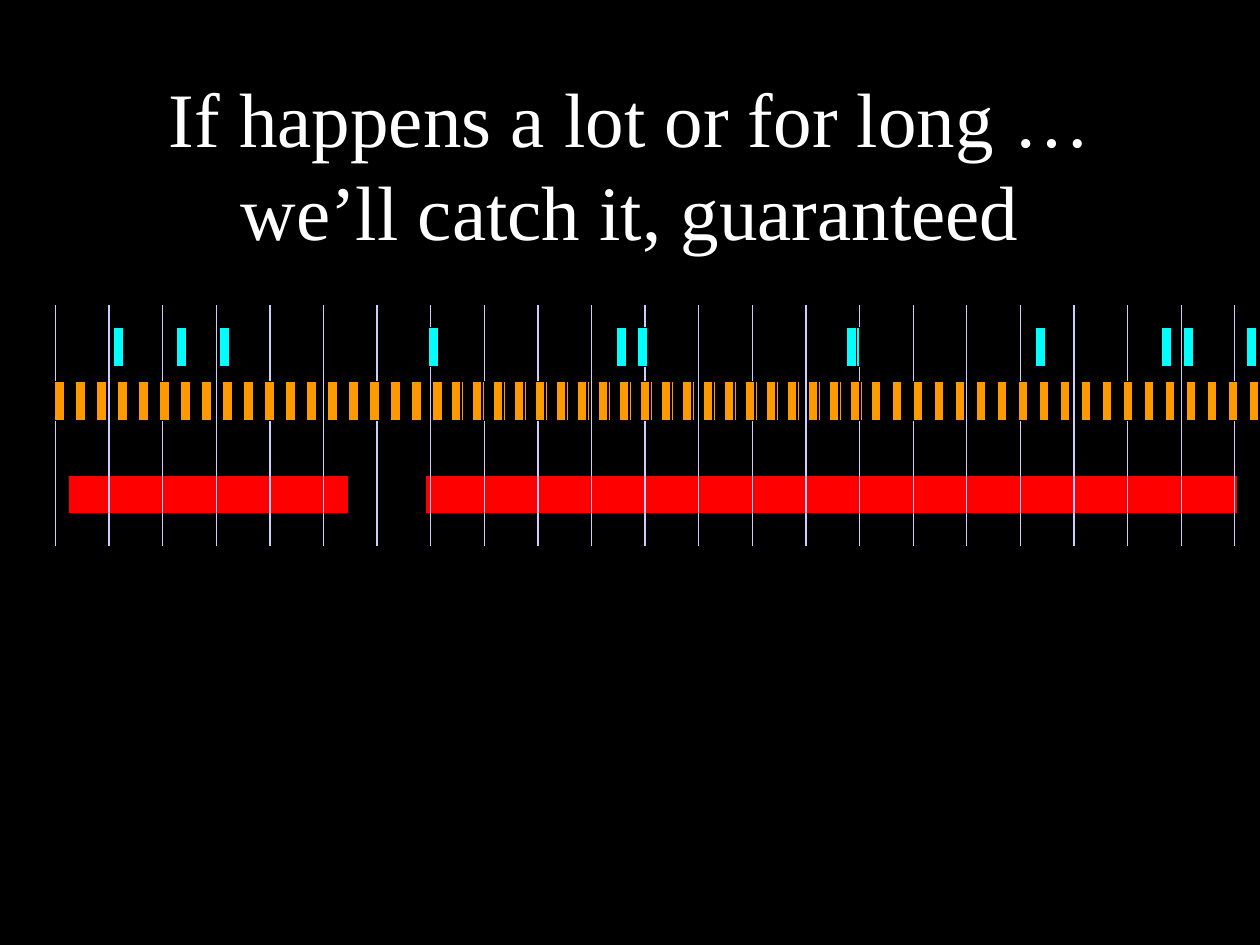
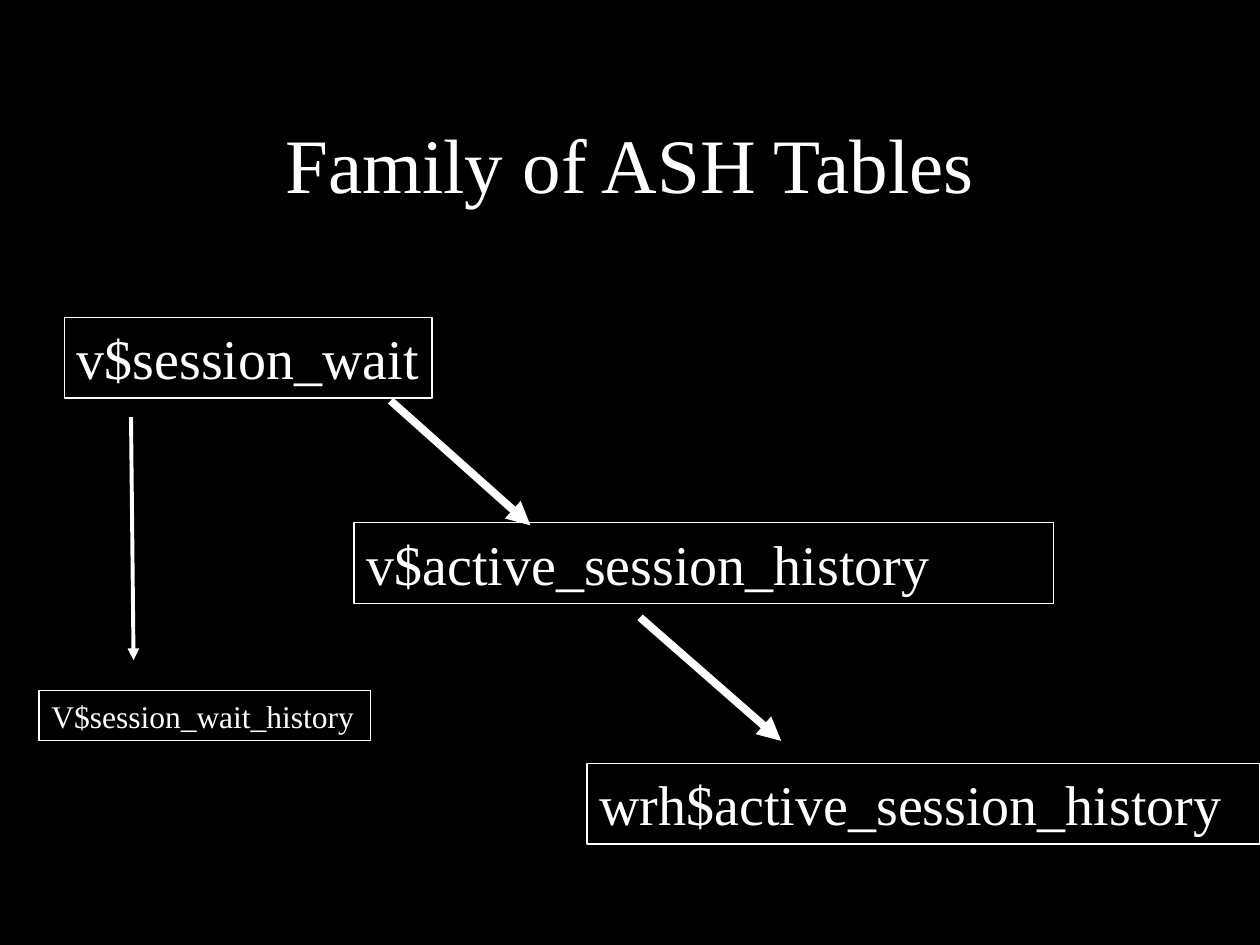
from dataclasses import dataclass

from lxml.etree import SubElement
from pptx import Presentation
from pptx.dml.color import RGBColor
from pptx.enum.shapes import MSO_CONNECTOR as Connector, MSO_SHAPE as Shape
from pptx.enum.text import MSO_ANCHOR as Anchor, MSO_AUTO_SIZE as AutoSize, PP_ALIGN as Align
from pptx.oxml.ns import qn
from pptx.util import Inches, Pt


@dataclass(frozen=True)
class Theme:
    font: str = "Times New Roman"
    background: str = "000000"
    text: str = "FFFFFF"
    grid: str = "CCCCFF"
    long_wait: str = "FF0000"
    frequent: str = "FF9900"
    occasional: str = "00FFFF"
    title_size: int = 44
    table_size: int = 32
    history_size: int = 18
    thin: float = 0.75


THEME = Theme()

# Content: sampling timeline, lengths in inches
SAMPLING_TITLE = "If happens a lot or for long … we’ll catch it, guaranteed"
GRID_FIRST, GRID_LAST, GRID_COUNT = 0.44, 9.8, 23
GRID_TOP, GRID_BOTTOM = 2.42, 4.33
EVENT_WIDTH, EVENT_HEIGHT = 0.08, 0.31
LONG_WAITS = [(0.54, 2.23), (3.38, 6.44)]  # left, width
LONG_TOP, FREQUENT_TOP, OCCASIONAL_TOP = 3.77, 3.03, 2.6
FREQUENT_STARTS, FREQUENT_COUNT, EVENTS_PER_INCH = (0.43, 3.58), 39, 6
OCCASIONAL = [0.9, 1.4, 1.74, 3.4, 4.9, 5.07, 6.74,
              4.89, 5.06, 6.72, 8.22, 9.22, 9.39, 9.89]

# Content: ASH tables as (name, (left, top, width, height), size, wrap)
FAMILY_TITLE = "Family of ASH Tables"
ASH_TABLES = [
    ("v$session_wait", (0.51, 2.52, 2.92, 0.64), THEME.table_size, False),
    ("v$active_session_history", (2.81, 4.15, 5.55, 0.64), THEME.table_size, True),
    ("wrh$active_session_history", (4.66, 6.06, 5.34, 0.64), THEME.table_size, True),
    ("V$session_wait_history", (0.31, 5.48, 2.63, 0.4), THEME.history_size, True),
]
# Flows as (start, end, line width)
FLOWS = [
    ((1.04, 3.31), (1.06, 5.24), 2.25),
    ((5.08, 4.9), (6.2, 5.88), 4.5),
    ((3.1, 3.18), (4.21, 4.17), 4.5),
]


# Shared parts
def rgb(color):
    return RGBColor.from_string(color)


def style_text(frame, size):
    for paragraph in frame.paragraphs:
        for run in paragraph.runs:
            run.font.name = THEME.font
            run.font.size = Pt(size)
            run.font.color.rgb = rgb(THEME.text)


def add_titled_slide(prs, heading):
    slide = prs.slides.add_slide(prs.slide_layouts[5])
    title = slide.shapes.title
    title.left, title.top, title.width, title.height = map(Inches, (0.75, 0.67, 8.5, 1.25))
    frame = title.text_frame
    frame.text = heading
    frame.word_wrap = True
    frame.auto_size = AutoSize.NONE
    frame.vertical_anchor = Anchor.MIDDLE
    frame.paragraphs[0].alignment = Align.CENTER
    style_text(frame, THEME.title_size)
    return slide


def add_line(slide, start, end, color, width, arrow=False):
    line = slide.shapes.add_connector(Connector.STRAIGHT, *map(Inches, (*start, *end)))
    line.line.color.rgb = rgb(color)
    line.line.width = Pt(width)
    if arrow:
        SubElement(line.line._get_or_add_ln(), qn("a:tailEnd"), type="triangle")
    SubElement(line._element.spPr, qn("a:effectLst"))


def add_event(slide, left, top, color, width=EVENT_WIDTH):
    event = slide.shapes.add_shape(
        Shape.RECTANGLE, *map(Inches, (left, top, width, EVENT_HEIGHT)))
    event.shadow.inherit = False
    event.fill.solid()
    event.fill.fore_color.rgb = rgb(color)
    event.line.color.rgb = rgb(THEME.background)
    event.line.width = Pt(THEME.thin)


def add_ash_table(slide, name, place, size, wrap):
    box = slide.shapes.add_textbox(*map(Inches, place))
    box.line.color.rgb = rgb(THEME.text)
    box.line.width = Pt(THEME.thin)
    frame = box.text_frame
    frame.text = name
    frame.word_wrap = wrap
    frame.auto_size = AutoSize.SHAPE_TO_FIT_TEXT
    style_text(frame, size)


# Slides
def build_sampling(prs):
    slide = add_titled_slide(prs, SAMPLING_TITLE)
    for left, width in LONG_WAITS:
        add_event(slide, left, LONG_TOP, THEME.long_wait, width)
    grid_step = (GRID_LAST - GRID_FIRST) / (GRID_COUNT - 1)
    for i in range(GRID_COUNT):
        x = GRID_FIRST + i * grid_step
        add_line(slide, (x, GRID_TOP), (x, GRID_BOTTOM), THEME.grid, THEME.thin)
    for start in FREQUENT_STARTS:
        for i in range(FREQUENT_COUNT):
            add_event(slide, start + i / EVENTS_PER_INCH, FREQUENT_TOP, THEME.frequent)
    for left in OCCASIONAL:
        add_event(slide, left, OCCASIONAL_TOP, THEME.occasional)


def build_family(prs):
    slide = add_titled_slide(prs, FAMILY_TITLE)
    for table in ASH_TABLES:
        add_ash_table(slide, *table)
    for start, end, width in FLOWS:
        add_line(slide, start, end, THEME.text, width, arrow=True)


def main():
    prs = Presentation()
    prs.slide_width, prs.slide_height = Inches(10), Inches(7.5)
    backdrop = prs.slide_master.background.fill
    backdrop.solid()
    backdrop.fore_color.rgb = rgb(THEME.background)
    build_sampling(prs)
    build_family(prs)
    prs.save("out.pptx")


if __name__ == "__main__":
    main()
